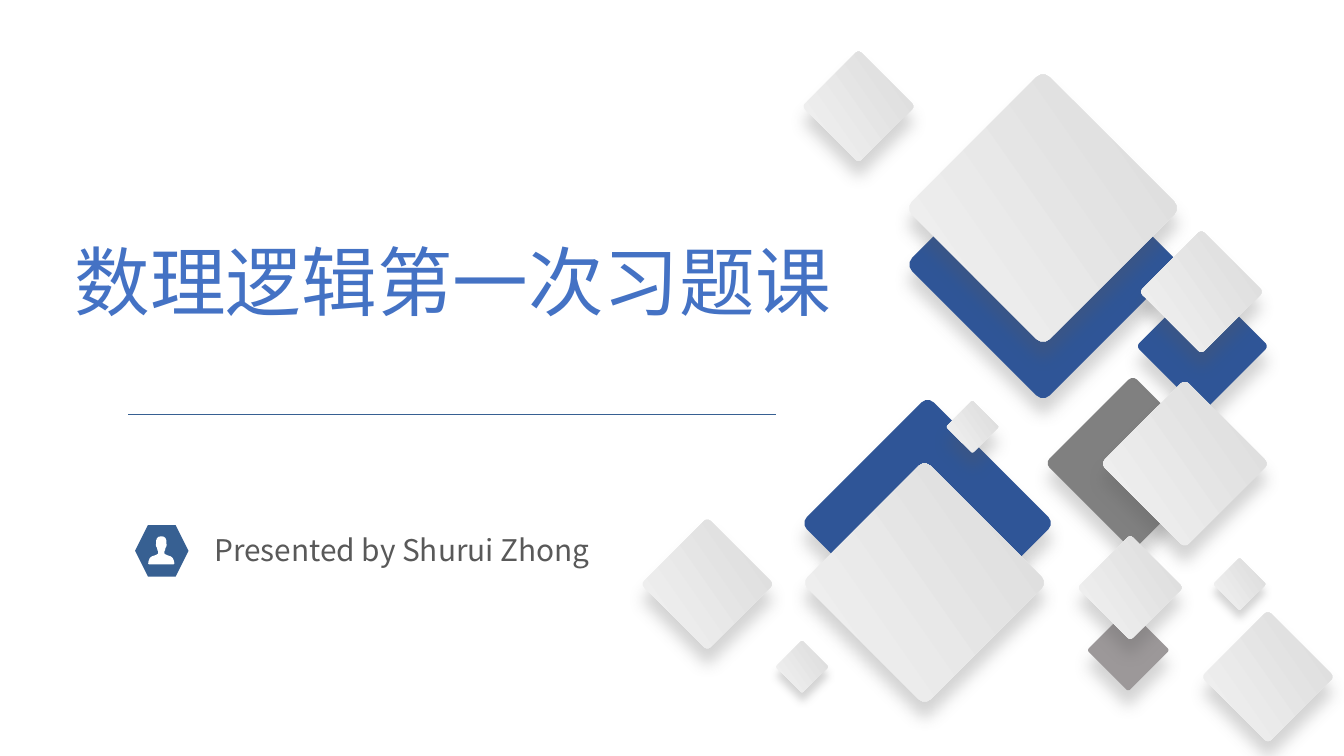
from dataclasses import dataclass

from lxml.etree import SubElement
from pptx import Presentation
from pptx.dml.color import RGBColor
from pptx.enum.shapes import MSO_CONNECTOR, MSO_SHAPE
from pptx.enum.text import MSO_AUTO_SIZE, PP_ALIGN
from pptx.oxml.ns import qn
from pptx.util import Emu, Pt

PX = 9144  # EMU per px, 100 px to the inch
FONT = "Noto Sans CJK SC"
COLOURS = {
    "blue": "2F5597",
    "grey": "808080",
    "warm grey": "9C9899",
    "light": "F2F2F2",
    "silver": "DBDBDB",
    "text": "595959",
    "title": "4472C4",
    "badge": "376092",
    "white": "FFFFFF",
}


@dataclass
class Tile:
    left: int
    top: int
    side: int
    colour: str = "silver"
    shadow: int = 11  # blur and distance in points


@dataclass
class Label:
    text: str
    left: int
    top: int
    width: int
    height: int
    size: float
    colour: str
    align: PP_ALIGN = PP_ALIGN.LEFT
    wrap: bool = True


# Back to front; silver tiles carry the light gradient
TILES = [
    Tile(1090, 616, 58, "warm grey"),
    Tile(938, 166, 193, "blue"),
    Tile(831, 430, 178, "blue"),
    Tile(1062, 398, 123, "grey"),
    Tile(1146, 297, 93, "blue"),
    Tile(812, 66, 79),
    Tile(1148, 246, 87),
    Tile(938, 110, 193),
    Tile(1116, 401, 118),
    Tile(831, 492, 172),
    Tile(655, 533, 93),
    Tile(1211, 625, 93),
    Tile(1084, 546, 74),
    Tile(777, 643, 37, shadow=6),
    Tile(1211, 561, 37, shadow=6),
    Tile(946, 405, 37),
]
PRESENTER = Label("Presented by Shurui Zhong", 203, 523, 410, 46, 21.3, "text")
TITLE = Label("数理逻辑第一次习题课", 60, 228, 778, 101, 54, "title",
              PP_ALIGN.CENTER, False)

# Right half of the person, in tenths of a px from the top of the head
PERSON_TOP = (160, 532)
PERSON_HALF = [
    (0, 0), (25, 5), (42, 18), (50, 40), (50, 70), (54, 85), (50, 102),
    (42, 115), (38, 138), (30, 150), (30, 170), (42, 180), (65, 190),
    (95, 200), (115, 218), (126, 245), (130, 270), (122, 280),
]


def rgb(name: str) -> RGBColor:
    return RGBColor.from_string(COLOURS[name])


def px(*lengths: int) -> list[Emu]:
    return [Emu(length * PX) for length in lengths]


def paint(shape, colour: str) -> None:
    shape.shadow.inherit = False
    shape.fill.solid()
    shape.fill.fore_color.rgb = rgb(colour)
    shape.line.fill.background()


def add_tile(shapes, tile: Tile) -> None:
    shape = shapes.add_shape(MSO_SHAPE.ROUNDED_RECTANGLE,
                             *px(tile.left, tile.top, tile.side, tile.side))
    shape.adjustments[0] = 0.048
    shape.rotation = 45
    paint(shape, tile.colour)
    if tile.colour == "silver":
        shape.fill.gradient()
        shape.fill.gradient_angle = 80
        for stop, colour in zip(shape.fill.gradient_stops, ("light", "silver")):
            stop.color.rgb = rgb(colour)
    # Soft shadow straight below
    effects = shape._element.spPr.find(qn("a:effectLst"))
    reach = str(Pt(tile.shadow))
    shadow = SubElement(effects, qn("a:outerShdw"), blurRad=reach, dist=reach,
                        dir="5400000", algn="t", rotWithShape="0")
    tint = SubElement(shadow, qn("a:srgbClr"), val=COLOURS["text"])
    SubElement(tint, qn("a:alpha"), val="25000")


def add_label(shapes, label: Label) -> None:
    box = shapes.add_textbox(*px(label.left, label.top, label.width, label.height))
    frame = box.text_frame
    frame.word_wrap = label.wrap
    frame.auto_size = MSO_AUTO_SIZE.SHAPE_TO_FIT_TEXT
    frame.text = label.text
    paragraph = frame.paragraphs[0]
    paragraph.alignment = label.align
    font = paragraph.runs[0].font
    font.size = Pt(label.size)
    font.color.rgb = rgb(label.colour)
    font.name = FONT
    SubElement(font._element, qn("a:ea"), typeface=FONT)


def add_divider(shapes) -> None:
    divider = shapes.add_connector(MSO_CONNECTOR.STRAIGHT, *px(127, 411, 770, 411))
    divider.line.color.rgb = rgb("badge")
    divider.line.width = Pt(0.5)
    SubElement(divider._element.spPr, qn("a:effectLst"))


def add_badge(shapes) -> None:
    badge = shapes.add_group_shape().shapes
    paint(badge.add_shape(MSO_SHAPE.HEXAGON, *px(134, 521, 53, 51)), "badge")
    mirrored = [(-x, y) for x, y in reversed(PERSON_HALF[1:])]
    outline = badge.build_freeform(*PERSON_HALF[0], scale=PX / 10)
    outline.add_line_segments(PERSON_HALF[1:] + mirrored, close=True)
    paint(outline.convert_to_shape(*px(*PERSON_TOP)), "white")


def main() -> None:
    deck = Presentation()
    deck.slide_width, deck.slide_height = px(1333, 750)
    shapes = deck.slides.add_slide(deck.slide_layouts[6]).shapes

    # Diamond mosaic
    for tile in TILES:
        add_tile(shapes, tile)

    # Presenter and title
    add_label(shapes, PRESENTER)
    add_divider(shapes)
    add_badge(shapes)
    add_label(shapes, TITLE)

    deck.save("out.pptx")


if __name__ == "__main__":
    main()
